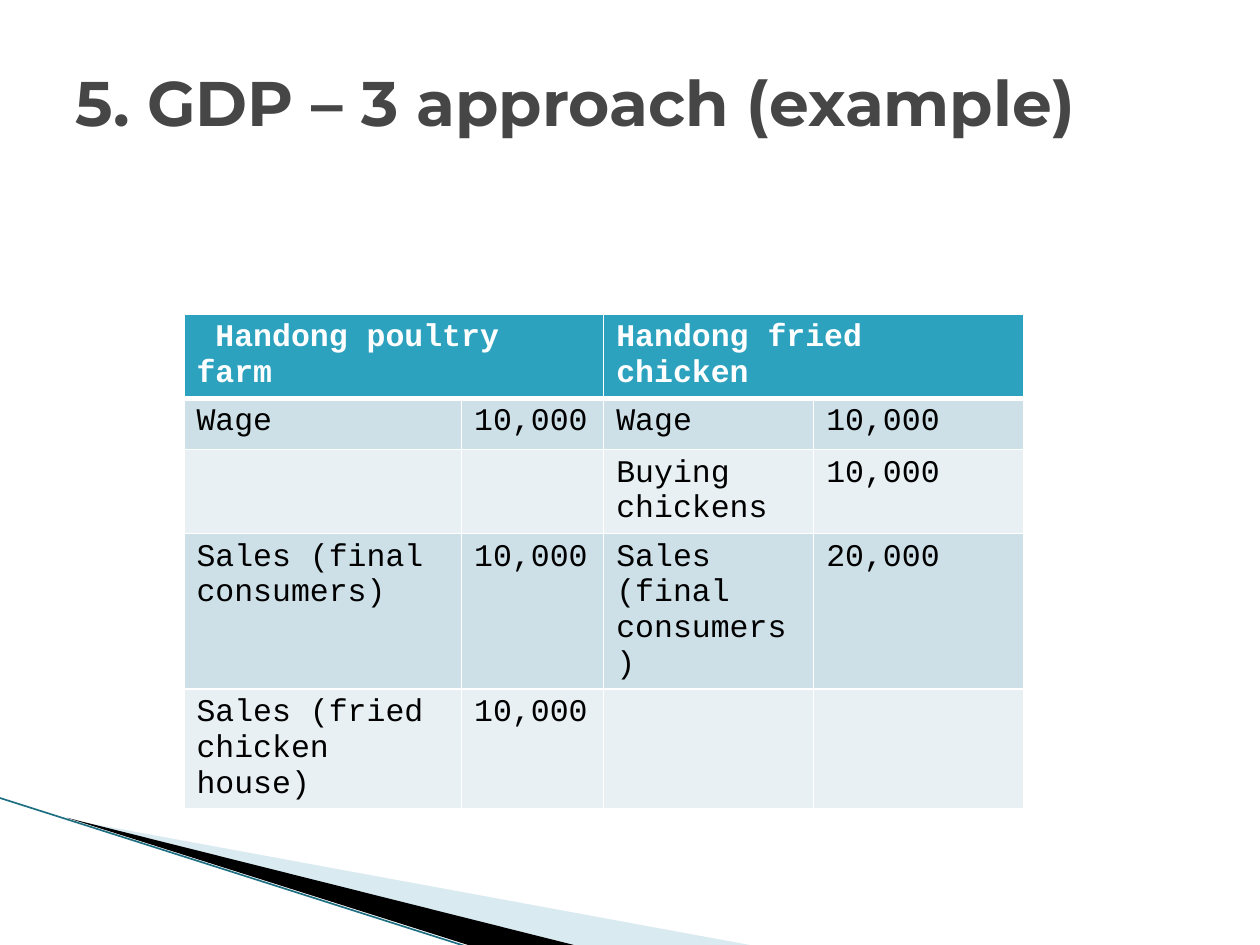
from lxml import etree
from pptx import Presentation
from pptx.dml.color import RGBColor
from pptx.enum.shapes import MSO_CONNECTOR
from pptx.enum.text import MSO_ANCHOR, PP_ALIGN
from pptx.oxml.ns import qn
from pptx.util import Pt

LEFT = PP_ALIGN.LEFT
MIDDLE = MSO_ANCHOR.MIDDLE
STRAIGHT = MSO_CONNECTOR.STRAIGHT

COLORS = {
    "title": "464646",
    "white": "FFFFFF",
    "black": "000000",
    "header": "2DA2BF",
    "dark_band": "CDE0E8",
    "light_band": "E8F0F4",
    "pale_wedge": "A0CBDC",
    "edge": "1F6F83",
}


def color(name):
    return RGBColor.from_string(COLORS[name])


def write(text_frame, text, *, font, size, fill, bold=False):
    paragraph = text_frame.paragraphs[0]
    paragraph.alignment = LEFT
    run = paragraph.add_run()
    run.text = text
    run.font.name = font
    run.font.size = Pt(size)
    run.font.bold = bold
    run.font.color.rgb = color(fill)


presentation = Presentation()
presentation.slide_width = Pt(720)
presentation.slide_height = Pt(540)
slide = presentation.slides.add_slide(presentation.slide_layouts[5])

# Corner wedges: fill, opacity in percent, outline points
wedges = [
    ("pale_wedge", 40, [(39.6, 468.4), (428.4, 540), (328.3, 540)]),
    ("black", 100, [(38.2, 467.3), (328, 540), (267.5, 540)]),
]
for fill, opacity, points in wedges:
    corners = [(Pt(x), Pt(y)) for x, y in points]
    builder = slide.shapes.build_freeform(*corners[0])
    builder.add_line_segments(corners[1:], close=True)
    wedge = builder.convert_to_shape()
    wedge.shadow.inherit = False
    wedge.fill.solid()
    wedge.fill.fore_color.rgb = color(fill)
    wedge.line.fill.background()
    if opacity < 100:
        fill_color = wedge.fill._xPr.find(qn("a:solidFill"))[0]
        etree.SubElement(fill_color, qn("a:alpha"), val=str(opacity * 1000))

edge = slide.shapes.add_connector(STRAIGHT, Pt(-0.7), Pt(455.8), Pt(267), Pt(541))
edge.line.color.rgb = color("edge")
edge.line.width = Pt(0.95)
etree.SubElement(edge._element.spPr, qn("a:effectLst"))

title = slide.shapes.title
title.left, title.top, title.width, title.height = Pt(36), Pt(21.6), Pt(648), Pt(72.7)
title.text_frame.word_wrap = True
title.text_frame.vertical_anchor = MIDDLE
write(title.text_frame, "5. GDP – 3 approach (example)",
      font="Montserrat", size=36, fill="title", bold=True)

rows = [
    [" Handong poultry farm", "", "Handong fried chicken", ""],
    ["Wage", "10,000", "Wage", "10,000"],
    ["", "", "Buying chickens", "10,000"],
    ["Sales (final consumers)", "10,000", "Sales (final consumers)", "20,000"],
    ["Sales (fried chicken house)", "10,000", "", ""],
]
column_widths = [158.7, 81.2, 120, 120]
row_heights = [29.2, 29.2, 39.6, 29.2, 29.2]

frame = slide.shapes.add_table(len(rows), len(column_widths), Pt(105.1), Pt(179.6),
                               Pt(sum(column_widths)), Pt(sum(row_heights)))
table = frame.table
for column, width in zip(table.columns, column_widths):
    column.width = Pt(width)
for row, height in zip(table.rows, row_heights):
    row.height = Pt(height)
for first in (0, 2):
    table.cell(0, first).merge(table.cell(0, first + 1))

for row_index, texts in enumerate(rows):
    is_header = row_index == 0
    band = "header" if is_header else ("light_band", "dark_band")[row_index % 2]
    border_widths = {
        "lnL": 1,
        "lnR": 1,
        "lnT": 3 if row_index == 1 else 1,
        "lnB": 3 if is_header else 1,
    }
    for column_index, text in enumerate(texts):
        cell = table.cell(row_index, column_index)
        properties = cell._tc.get_or_add_tcPr()
        for side, width in border_widths.items():
            border = etree.SubElement(properties, qn(f"a:{side}"), w=str(Pt(width)))
            border_fill = etree.SubElement(border, qn("a:solidFill"))
            etree.SubElement(border_fill, qn("a:srgbClr"), val=COLORS["white"])
        cell.fill.solid()
        cell.fill.fore_color.rgb = color(band)
        if text:
            write(cell.text_frame, text, font="Courier New", size=18,
                  fill="white" if is_header else "black", bold=is_header)

presentation.save("out.pptx")
